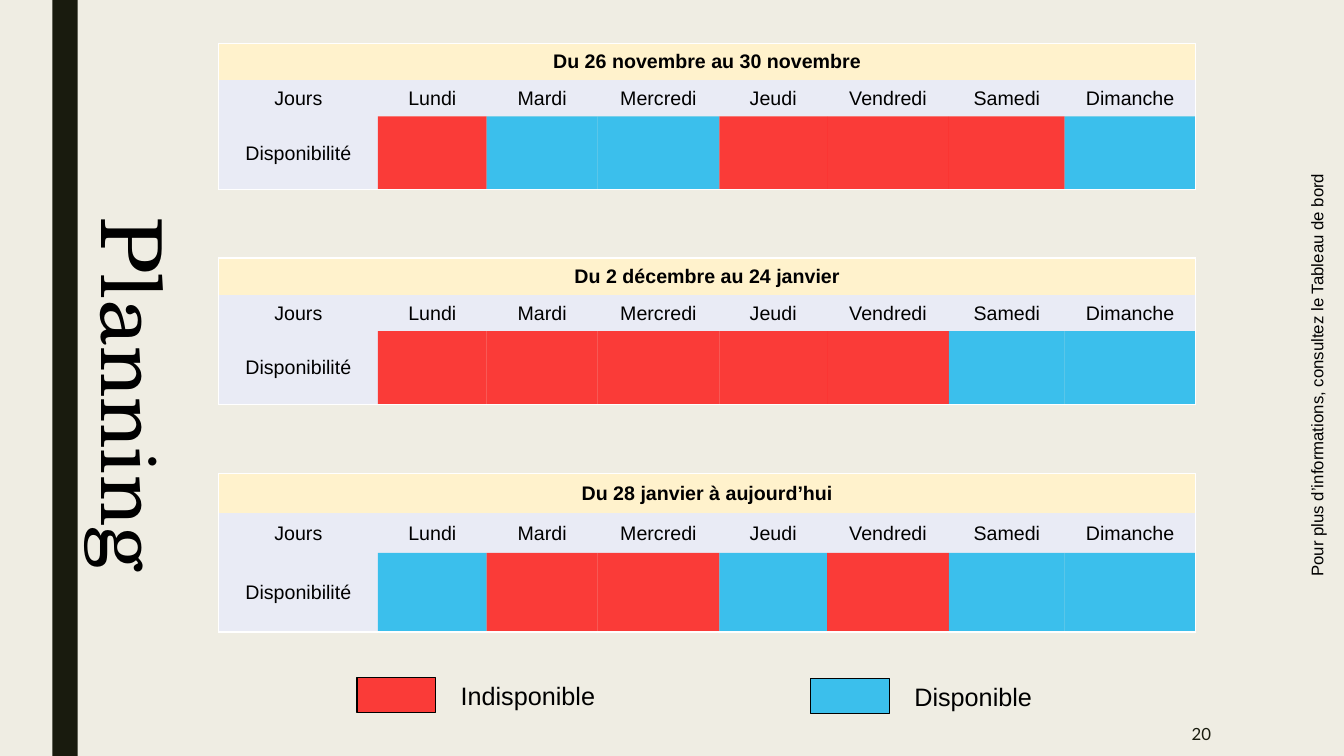
from lxml.etree import SubElement
from pptx import Presentation
from pptx.dml.color import RGBColor
from pptx.enum.shapes import MSO_SHAPE
from pptx.enum.text import MSO_ANCHOR, PP_ALIGN
from pptx.oxml.ns import qn
from pptx.util import Inches, Pt

BACKGROUND = RGBColor(0xEF, 0xED, 0xE3)
DARK = RGBColor(0x19, 0x1B, 0x0E)
BLACK = RGBColor(0, 0, 0)
WHITE = RGBColor(0xFF, 0xFF, 0xFF)
CREAM = RGBColor(0xFF, 0xF2, 0xCC)
PALE = RGBColor(0xE9, 0xEB, 0xF5)
RED = RGBColor(0xFF, 0, 0)
BLUE = RGBColor(0, 0xB0, 0xF0)

WIDTH, HEIGHT = 13.33, 7.5
OPACITY = 75
NO_STYLE = "{2D5ABB26-0587-4C30-8999-92F81FD0307C}"
DAYS = ["Jours", "Lundi", "Mardi", "Mercredi", "Jeudi", "Vendredi", "Samedi", "Dimanche"]
COLUMNS = [1.58, 1.08, 1.1, 1.21, 1.07, 1.21, 1.15, 1.3]
ROW_SHARES = [0.25, 0.25, 0.5]
STATUS = {"I": RED, "D": BLUE}
PERIODS = [
    ("Du 26 novembre au 30 novembre", "IDDIIID", 0.43, 1.45),
    ("Du 2 décembre au 24 janvier", "IIIIIDD", 2.56, 1.45),
    ("Du 28 janvier à aujourd’hui", "DIIDIDD", 4.7, 1.57),
]


def fill_solid(item, color, opacity=100):
    """Fill a shape or a cell with a colour, see-through below 100 percent."""
    item.fill.solid()
    item.fill.fore_color.rgb = color
    if opacity < 100:
        element = item._element if hasattr(item, "_element") else item._tc
        path = "p:spPr/a:solidFill/a:srgbClr | a:tcPr/a:solidFill/a:srgbClr"
        SubElement(element.xpath(path)[0], qn("a:alpha"), val=str(opacity * 1000))


def write(frame, text, size, font="Arial", color=BLACK, bold=False, align=PP_ALIGN.LEFT):
    """Write one run of text in a frame and return its paragraph."""
    paragraph = frame.paragraphs[0]
    paragraph.alignment = align
    run = paragraph.add_run()
    run.text = text
    run.font.size = Pt(size)
    run.font.name = font
    run.font.bold = bold
    run.font.color.rgb = color
    return paragraph


def add_text(slide, box, text, size, rotation=0, anchor=MSO_ANCHOR.TOP, **style):
    """Add a wrapped text box, turned about its centre."""
    shape = slide.shapes.add_textbox(*map(Inches, box))
    shape.rotation = rotation
    shape.text_frame.word_wrap = True
    shape.text_frame.vertical_anchor = anchor
    write(shape.text_frame, text, size, **style)


def add_rectangle(slide, box, color, opacity=100, line=None):
    """Add a flat rectangle with an optional outline."""
    shape = slide.shapes.add_shape(MSO_SHAPE.RECTANGLE, *map(Inches, box))
    shape.shadow.inherit = False
    fill_solid(shape, color, opacity)
    if line is None:
        shape.line.fill.background()
    else:
        shape.line.color.rgb = line
        shape.line.width = Pt(1)


def add_borders(cell, sides):
    """Draw white borders on the given sides of a cell."""
    properties = cell._tc.get_or_add_tcPr()
    for side in sides:
        border = SubElement(properties, qn(f"a:ln{side}"), w=str(Pt(1)))
        SubElement(SubElement(border, qn("a:solidFill")), qn("a:srgbClr"), val=str(WHITE))


def write_cell(cell, text, bold=False):
    """Write centred text in a cell with narrow margins."""
    cell.vertical_anchor = MSO_ANCHOR.MIDDLE
    cell.margin_left = cell.margin_right = Inches(0.07)
    cell.margin_top = cell.margin_bottom = 0
    paragraph = write(cell.text_frame, text, 14, bold=bold, align=PP_ALIGN.CENTER)
    paragraph.line_spacing = 1.05


def add_period(slide, box, title, availability):
    """Add the table of one period, with one status cell per day."""
    frame = slide.shapes.add_table(len(ROW_SHARES), len(COLUMNS), *map(Inches, box))
    table = frame.table
    table.first_row = table.horz_banding = False
    table._tbl.tblPr.find(qn("a:tableStyleId")).text = NO_STYLE
    for column, width in zip(table.columns, COLUMNS):
        column.width = Inches(box[2] * width / sum(COLUMNS))
    for row, share in zip(table.rows, ROW_SHARES):
        row.height = Inches(box[3] * share)
    table.cell(0, 0).merge(table.cell(0, len(COLUMNS) - 1))

    fills = [[CREAM] * len(COLUMNS), [PALE] * len(COLUMNS),
             [PALE] + [STATUS[code] for code in availability]]
    last_row, last_column = len(fills) - 1, len(COLUMNS) - 1
    for i, colors in enumerate(fills):
        for j, color in enumerate(colors):
            cell = table.cell(i, j)
            edges = {"L": j == 0, "R": j == last_column or cell.is_merge_origin,
                     "T": i == 0, "B": i == last_row}
            add_borders(cell, [side for side, outer in edges.items() if outer])
            fill_solid(cell, color, OPACITY if color in (RED, BLUE) else 100)

    write_cell(table.cell(0, 0), title, bold=True)
    for j, day in enumerate(DAYS):
        write_cell(table.cell(1, j), day)
    write_cell(table.cell(2, 0), "Disponibilité")


def add_legend_entry(slide, left, top, color, label):
    """Add a colour swatch with its label on the right."""
    add_rectangle(slide, (left, top, 0.78, 0.35), color, OPACITY, BLACK)
    add_text(slide, (left + 0.93, top - 0.02, 2.48, 0.4), label, 18)


def build_planning(slide):
    """Place every part of the planning slide."""
    slide.background.fill.solid()
    slide.background.fill.fore_color.rgb = BACKGROUND
    add_rectangle(slide, (0.52, 0, 0.25, HEIGHT), DARK)
    for title, availability, top, height in PERIODS:
        add_period(slide, (2.17, top, 9.69, height), title, availability)
    add_legend_entry(slide, 3.54, 6.72, RED, "Indisponible")
    add_legend_entry(slide, 8.04, 6.73, BLUE, "Disponible")
    add_text(slide, (-1.35, 4.18, 5.36, 1.11), "Planning", 60, 90, font="TeX Gyre Schola")
    add_text(slide, (9.82, 2.43, 6.48, 0.3),
             "Pour plus d’informations, consultez le Tableau de bord", 12, 270)
    add_text(slide, (10.36, 7.06, 1.75, 0.44), "20", 12, anchor=MSO_ANCHOR.MIDDLE,
             font="Lato", color=DARK, align=PP_ALIGN.RIGHT)


def main():
    """Create and save the presentation."""
    presentation = Presentation()
    presentation.slide_width = Inches(WIDTH)
    presentation.slide_height = Inches(HEIGHT)
    build_planning(presentation.slides.add_slide(presentation.slide_layouts[6]))
    presentation.save("out.pptx")


if __name__ == "__main__":
    main()
